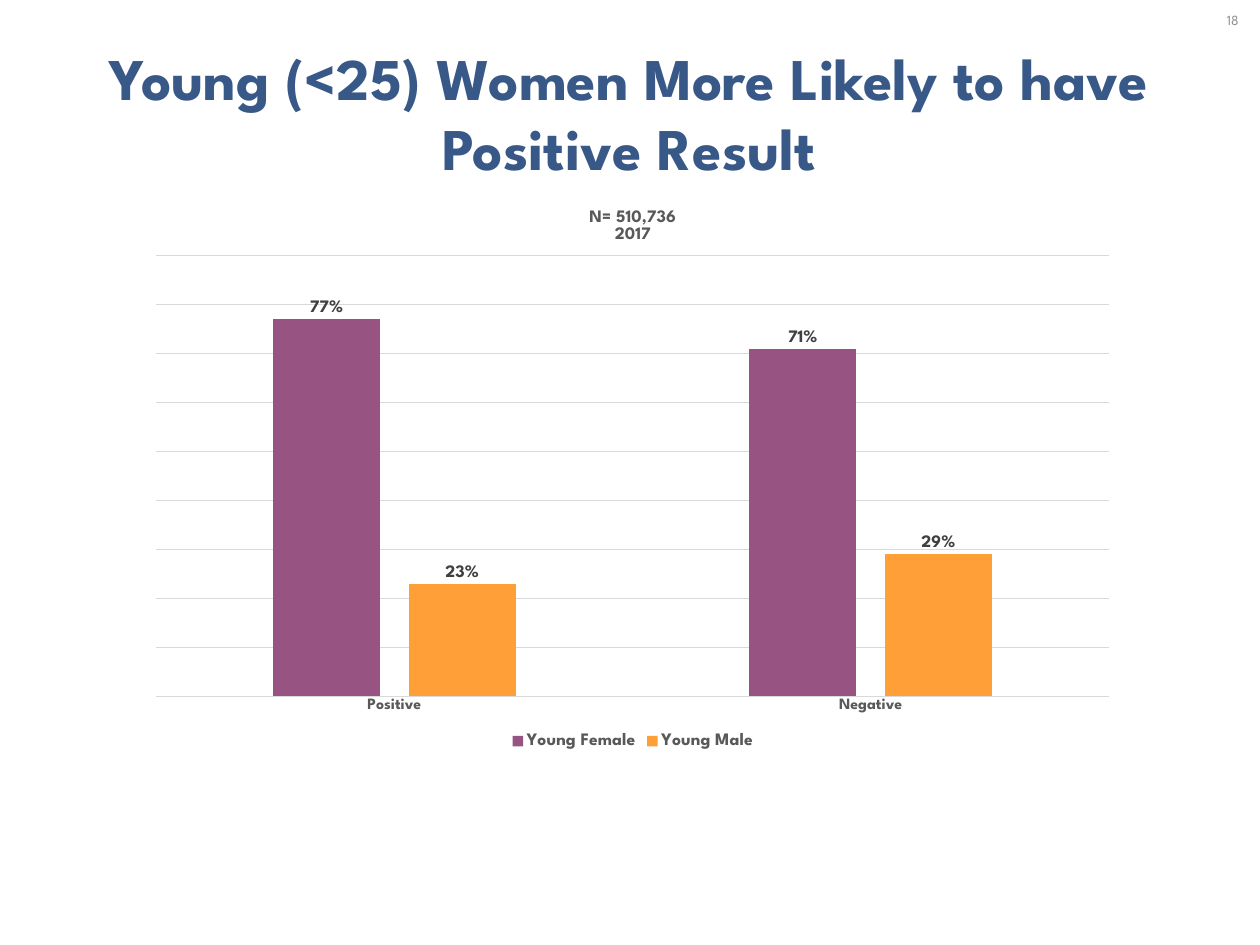
from dataclasses import dataclass
from typing import Any

from lxml.etree import SubElement
from pptx import Presentation
from pptx.chart.chart import Chart
from pptx.chart.data import CategoryChartData
from pptx.dml.color import RGBColor
from pptx.enum.chart import XL_CHART_TYPE, XL_LABEL_POSITION, XL_LEGEND_POSITION, XL_TICK_MARK
from pptx.enum.text import MSO_ANCHOR, PP_ALIGN
from pptx.oxml.ns import qn
from pptx.util import Inches, Pt

COLORS = {
    "title": "385988",
    "number": "8C8C8C",
    "axis": "595959",
    "label": "404040",
    "grid": "D9D9D9",
    "female": "975381",
    "male": "FF9F37",
}
FONT_NAME = "League Spartan"
CATEGORIES = ("Positive", "Negative")


@dataclass(frozen=True)
class Box:
    left: float
    top: float
    width: float
    height: float

    def lengths(self) -> tuple[int, ...]:
        return tuple(Inches(n) for n in (self.left, self.top, self.width, self.height))


@dataclass(frozen=True)
class ResultSeries:
    name: str
    values: tuple[float, ...]
    color: str


TITLE_BOX = Box(0.83, 1.05, 18.31, 1.45)
NUMBER_BOX = Box(19.14, 0, 0.86, 0.63)
CHART_BOX = Box(2.17, 3.06, 15.75, 8.89)
PLOT_BOX = Box(2.48, 4.06, 15.12, 6.99)
SERIES = (
    ResultSeries("Young Female", (0.77, 0.71), "female"),
    ResultSeries("Young Male", (0.23, 0.29), "male"),
)


def color_of(name: str) -> RGBColor:
    return RGBColor.from_string(COLORS[name])


def set_values(target: Any, values: dict[str, Any]) -> None:
    for name, value in values.items():
        setattr(target, name, value)


def format_font(font: Any, size: float, color: str, bold: bool = True) -> None:
    set_values(font, {"name": FONT_NAME, "size": Pt(size), "bold": bold})
    font.color.rgb = color_of(color)


def fill_text(shape: Any, text: str, size: float, color: str, bold: bool) -> None:
    frame = shape.text_frame
    set_values(frame, {"word_wrap": True, "vertical_anchor": MSO_ANCHOR.MIDDLE})
    paragraph = frame.paragraphs[0]
    paragraph.alignment = PP_ALIGN.CENTER
    run = paragraph.add_run()
    run.text = text
    format_font(run.font, size, color, bold)


def format_line(line: Any) -> None:
    line.color.rgb = color_of("grid")
    line.width = Pt(0.75)


def fix_plot_area(chart: Chart) -> None:
    """Place the inner plot area by shares of the chart's size."""
    plot_area = chart.element.find(f".//{qn('c:plotArea')}")
    layout = plot_area.find(qn("c:layout"))
    if layout is None:
        layout = SubElement(plot_area, qn("c:layout"))
        plot_area.insert(0, layout)
    settings = {
        "layoutTarget": "inner", "xMode": "edge", "yMode": "edge",
        "x": (PLOT_BOX.left - CHART_BOX.left) / CHART_BOX.width,
        "y": (PLOT_BOX.top - CHART_BOX.top) / CHART_BOX.height,
        "w": PLOT_BOX.width / CHART_BOX.width,
        "h": PLOT_BOX.height / CHART_BOX.height,
    }
    manual = SubElement(layout, qn("c:manualLayout"))
    for tag, value in settings.items():
        SubElement(manual, qn(f"c:{tag}")).set("val", str(value))


def format_axes(chart: Chart) -> None:
    category_axis = chart.category_axis
    category_axis.major_tick_mark = XL_TICK_MARK.NONE
    format_font(category_axis.tick_labels.font, 18, "axis")
    format_line(category_axis.format.line)
    value_axis = chart.value_axis
    set_values(value_axis, {
        "minimum_scale": 0, "maximum_scale": 0.9, "major_unit": 0.1,
        "has_major_gridlines": True, "visible": False,
    })
    format_line(value_axis.major_gridlines.format.line)


def format_series(chart: Chart) -> None:
    plot = chart.plots[0]
    set_values(plot, {"gap_width": 219, "overlap": -27, "vary_by_categories": False})
    for series, result in zip(plot.series, SERIES):
        series.format.fill.solid()
        series.format.fill.fore_color.rgb = color_of(result.color)
        labels = series.data_labels
        set_values(labels, {
            "show_value": True, "position": XL_LABEL_POSITION.OUTSIDE_END,
            "number_format": "0%", "number_format_is_linked": False,
        })
        format_font(labels.font, 20, "label")


def add_chart_title(chart: Chart) -> None:
    frame = chart.chart_title.text_frame
    frame.text = "N= 510,736\n2017"
    for paragraph in frame.paragraphs:
        for run in paragraph.runs:
            format_font(run.font, 20, "axis")


def add_result_chart(slide: Any) -> None:
    data = CategoryChartData(number_format="0%")
    data.categories = CATEGORIES
    for result in SERIES:
        data.add_series(result.name, result.values)
    chart = slide.shapes.add_chart(
        XL_CHART_TYPE.COLUMN_CLUSTERED, *CHART_BOX.lengths(), data
    ).chart
    set_values(chart.font, {"name": FONT_NAME, "size": Pt(10)})
    add_chart_title(chart)
    format_axes(chart)
    format_series(chart)
    chart.has_legend = True
    set_values(chart.legend, {"position": XL_LEGEND_POSITION.BOTTOM, "include_in_layout": False})
    format_font(chart.legend.font, 20, "axis")
    fix_plot_area(chart)


def main() -> None:
    presentation = Presentation()
    set_values(presentation, {"slide_width": Inches(20), "slide_height": Inches(15)})
    slide = presentation.slides.add_slide(presentation.slide_layouts[5])
    title = slide.shapes.title
    set_values(title, dict(zip(("left", "top", "width", "height"), TITLE_BOX.lengths())))
    fill_text(title, "Young (<25) Women More Likely to have Positive Result", 67.5, "title", True)
    number = slide.shapes.add_textbox(*NUMBER_BOX.lengths())
    fill_text(number, "18", 16, "number", False)
    add_result_chart(slide)
    presentation.save("out.pptx")


if __name__ == "__main__":
    main()
